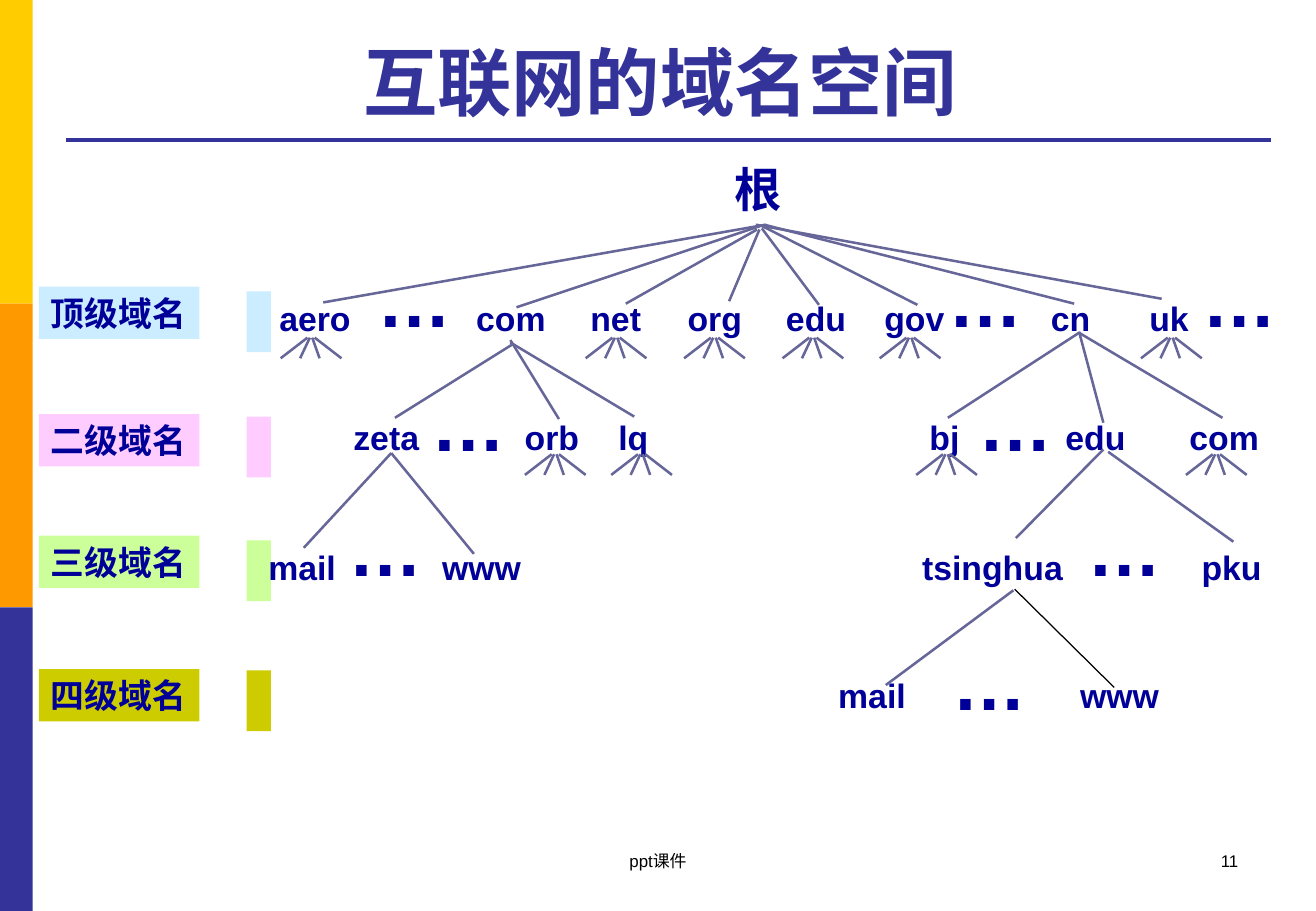
import pptx
import pptx.dml.color
import pptx.enum.shapes
import pptx.enum.text
import pptx.oxml
import pptx.util
from pptx.util import Inches

RGBColor = pptx.dml.color.RGBColor
Align = pptx.enum.text.PP_ALIGN
Anchor = pptx.enum.text.MSO_ANCHOR

INDIGO = RGBColor(0x33, 0x33, 0x99)
NAVY = RGBColor(0x00, 0x00, 0x99)
SLATE = RGBColor(0x66, 0x66, 0x99)
BLACK = RGBColor(0x00, 0x00, 0x00)
WHITE = RGBColor(0xFF, 0xFF, 0xFF)
YELLOW = RGBColor(0xFF, 0xCC, 0x00)
ORANGE = RGBColor(0xFF, 0x99, 0x00)
SKY = RGBColor(0xCC, 0xEC, 0xFF)
PINK = RGBColor(0xFF, 0xCC, 0xFF)
LIME = RGBColor(0xCC, 0xFF, 0x99)
OLIVE = RGBColor(0xCC, 0xCC, 0x00)

SIDE_BANDS = [YELLOW, ORANGE, INDIGO]

# Level name, colour, top of the label, top of the marker
LEVELS = [
    ("顶级域名", SKY, 2.36, 2.4),
    ("二级域名", PINK, 3.41, 3.43),
    ("三级域名", LIME, 4.41, 4.45),
    ("四级域名", OLIVE, 5.51, 5.52),
]

# Top of each row: (name, left, width) of its domains
DOMAINS = {
    2.4: [("aero", 2.2, 0.79), ("com", 3.82, 0.78), ("net", 4.76, 0.62),
          ("org", 5.56, 0.65), ("edu", 6.37, 0.7), ("gov", 7.18, 0.7),
          ("cn", 8.55, 0.53), ("uk", 9.36, 0.53)],
    3.38: [("zeta", 2.81, 0.76), ("orb", 4.22, 0.7), ("lq", 4.99, 0.55),
           ("bj", 7.55, 0.45), ("edu", 8.67, 0.7), ("com", 9.69, 0.78)],
    4.45: [("mail", 2.11, 0.76), ("www", 3.54, 0.85),
           ("tsinghua", 7.49, 1.37), ("pku", 9.79, 0.7)],
    5.51: [("mail", 6.8, 0.76), ("www", 8.79, 0.85)],
}

# Top of each row: left edges of its ellipses
ELLIPSES = {2.04: [3.01, 7.71, 9.8], 3.06: [3.45, 7.95],
            4.09: [2.77, 8.85], 5.19: [7.74]}

# Branches as (start, end)
BRANCHES = [
    # Root to the top level
    ((6.3, 1.85), (2.66, 2.49)), ((6.26, 1.86), (4.25, 2.53)),
    ((6.23, 1.89), (5.15, 2.5)), ((6.25, 1.89), (6, 2.48)),
    ((6.27, 1.88), (6.74, 2.51)), ((6.27, 1.86), (7.55, 2.51)),
    ((6.29, 1.85), (8.84, 2.5)), ((6.22, 1.85), (9.56, 2.46)),
    # Top level to the second
    ((4.2, 2.8), (4.6, 3.45)), ((4.2, 2.82), (5.22, 3.43)),
    ((8.88, 2.74), (7.8, 3.44)), ((8.88, 2.73), (9.08, 3.48)),
    ((8.88, 2.74), (10.06, 3.44)),
    # Second level to the third
    ((3.22, 3.73), (2.5, 4.51)), ((3.22, 3.73), (3.9, 4.56)),
    ((9.08, 3.7), (8.36, 4.43)), ((9.12, 3.72), (10.15, 4.46)),
    # Third level to the fourth
    ((8.34, 4.86), (7.29, 5.64)),
]

# Small fans of four lines: top of the row and centres
FANS = {2.78: [2.56, 5.07, 5.88, 6.69, 7.49, 9.64],
        3.74: [4.57, 5.28, 7.79, 10.01]}
FAN_OFFSETS = [(-0.03, -0.25), (-0.01, -0.09), (0.01, 0.07), (0.03, 0.25)]
FAN_HEIGHT = 0.17


def write_text(shape, text, size=20, color=NAVY, bold=True, align=Align.LEFT,
               anchor=Anchor.TOP, wrap=False, grow=True):
    frame = shape.text_frame
    frame.word_wrap = wrap
    frame.vertical_anchor = anchor
    sizes = pptx.enum.text.MSO_AUTO_SIZE
    frame.auto_size = sizes.SHAPE_TO_FIT_TEXT if grow else sizes.NONE
    paragraph = frame.paragraphs[0]
    paragraph.alignment = align
    run = paragraph.add_run()
    run.text = text
    run.font.name = "Arial"
    run.font.size = pptx.util.Pt(size)
    run.font.bold = bold
    run.font.color.rgb = color


class DomainSlide:
    def __init__(self, presentation):
        self.slide = presentation.slides.add_slide(presentation.slide_layouts[5])
        self.shapes = self.slide.shapes

    def title(self, text, left, top, width, height):
        shape = self.shapes.title
        shape.left, shape.top = Inches(left), Inches(top)
        shape.width, shape.height = Inches(width), Inches(height)
        shape.text_frame.margin_right = Inches(0.22)
        write_text(shape, text, size=44, color=INDIGO, align=Align.CENTER,
                   anchor=Anchor.BOTTOM, wrap=True, grow=False)

    def rectangle(self, left, top, width, height, color):
        shape = self.shapes.add_shape(
            pptx.enum.shapes.MSO_SHAPE.RECTANGLE,
            Inches(left), Inches(top), Inches(width), Inches(height))
        shape.shadow.inherit = False
        shape.fill.solid()
        shape.fill.fore_color.rgb = color
        shape.line.fill.background()
        return shape

    def text_box(self, text, left, top, width, height, **text_format):
        shape = self.shapes.add_textbox(
            Inches(left), Inches(top), Inches(width), Inches(height))
        write_text(shape, text, **text_format)
        return shape

    def line(self, start, end, color=SLATE, width=1.5):
        connector = self.shapes.add_connector(
            pptx.enum.shapes.MSO_CONNECTOR.STRAIGHT,
            *(Inches(value) for value in (*start, *end)))
        connector.line.color.rgb = color
        connector.line.width = pptx.util.Pt(width)
        properties = connector._element.spPr
        properties.append(pptx.oxml.parse_xml(
            '<a:effectLst xmlns:a="http://schemas.openxmlformats.org/'
            'drawingml/2006/main"/>'))
        return connector

    def fan(self, center, top):
        for start, end in FAN_OFFSETS:
            self.line((center + start, top), (center + end, top + FAN_HEIGHT))


def main():
    presentation = pptx.Presentation()
    presentation.slide_width = Inches(10.83)
    presentation.slide_height = Inches(7.5)
    page = DomainSlide(presentation)

    # Side bands, title and rule
    for index, color in enumerate(SIDE_BANDS):
        page.rectangle(0, 2.5 * index, 0.27, 2.5, color)
    page.line((0.54, 1.15), (10.46, 1.15), INDIGO, 2.25)
    page.title("互联网的域名空间", 0.54, 0.21, 9.91, 0.87)

    # Root and level labels
    root = page.rectangle(5.93, 1.31, 0.61, 0.48, WHITE)
    write_text(root, "根", size=28, align=Align.CENTER,
               anchor=Anchor.MIDDLE, grow=False)
    for name, color, label_top, marker_top in LEVELS:
        page.rectangle(2.03, marker_top, 0.2, 0.5, color)
        write_text(page.rectangle(0.32, label_top, 1.32, 0.43, color), name)

    # Domain names and ellipses
    nodes = {}
    for top, row in DOMAINS.items():
        for name, left, width in row:
            nodes[name, top] = page.text_box(name, left, top, width, 0.44)
    for top, lefts in ELLIPSES.items():
        for left in lefts:
            page.text_box("…", left, top, 0.82, 0.84, size=44)

    # Branches
    for start, end in BRANCHES:
        page.line(start, end)
    page.line((8.35, 4.85), (9.17, 5.66), BLACK, 0.75)
    com_branch = page.line((4.21, 2.84), (3.25, 3.44))
    com_branch.begin_connect(nodes["com", 2.4], 2)
    for top, centers in FANS.items():
        for center in centers:
            page.fan(center, top)

    # Footer
    footer = dict(size=10, color=BLACK, bold=False, wrap=True, grow=False)
    page.text_box("ppt课件", 3.7, 6.95, 3.43, 0.5, align=Align.CENTER, **footer)
    page.text_box("11", 7.76, 6.95, 2.53, 0.5, align=Align.RIGHT, **footer)

    presentation.save("out.pptx")


if __name__ == "__main__":
    main()
